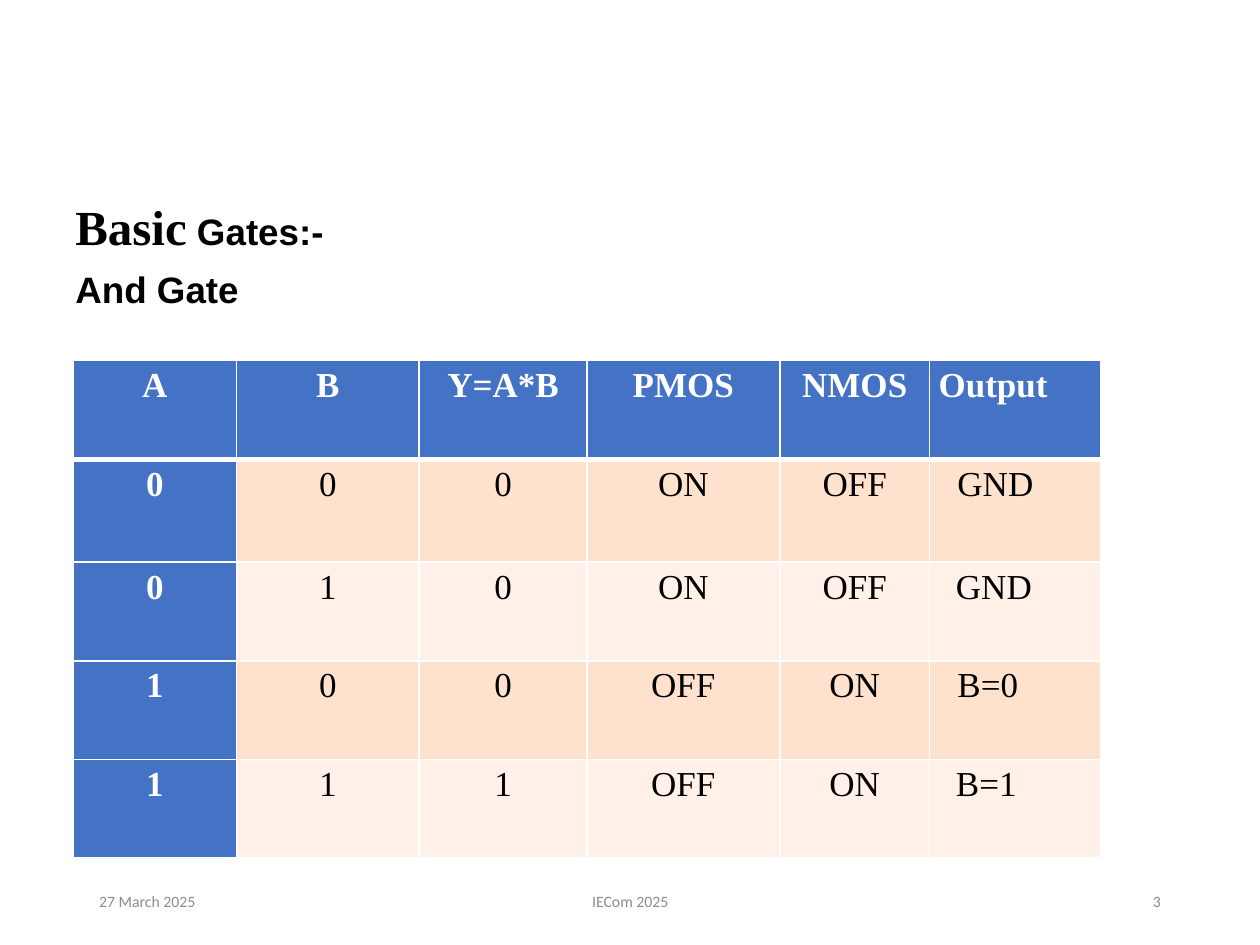
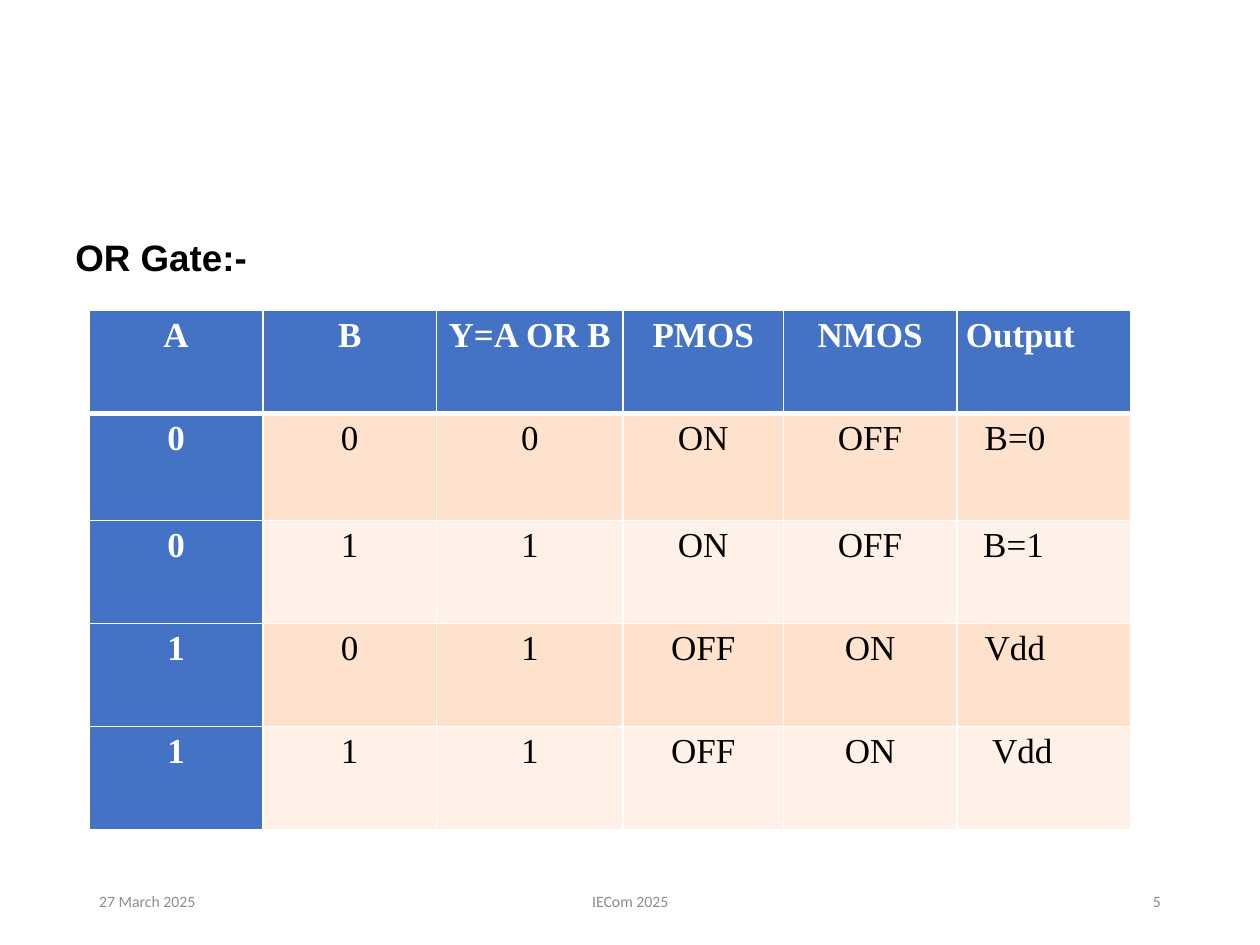
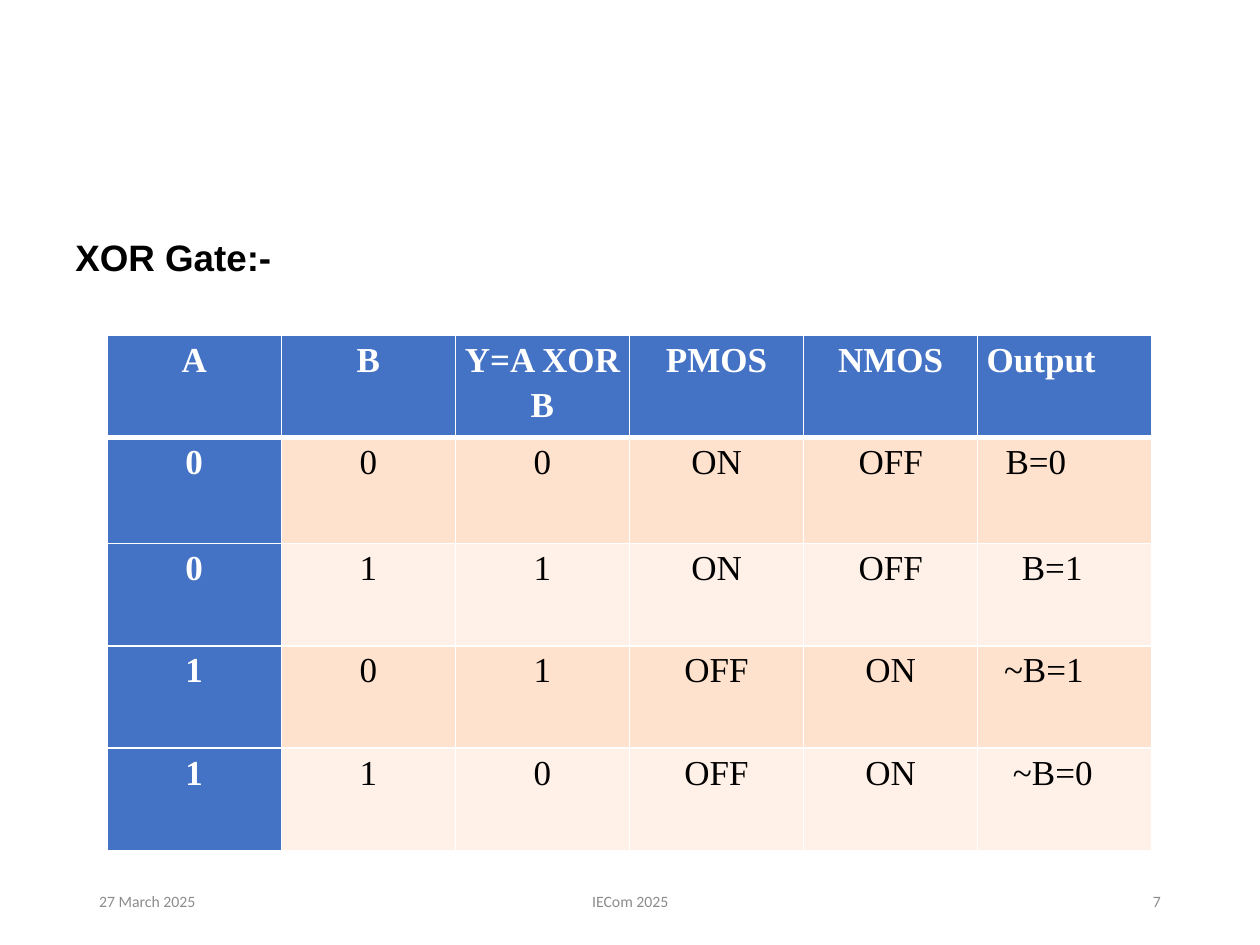
"""Build three slides with the truth tables of the AND, OR and XOR gates."""
from lxml.etree import SubElement
from pptx import Presentation
from pptx.dml.color import RGBColor
from pptx.enum.text import MSO_ANCHOR, PP_ALIGN
from pptx.oxml.ns import qn
from pptx.util import Cm, Pt

BLUE, PEACH, PALE_PEACH = "4472C4", "FFE2CD", "FFF1E8"
WHITE, BLACK, GRAY = "FFFFFF", "000000", "8C8C8C"
SERIF, SANS, FOOTER_FONT = "Times New Roman", "Arial", "Calibri"
THIN, THICK = 1, 3
FIRST_ROW_EXTRA = 0.08

DATE, EVENT = "27 March 2025", "IECom 2025"
INPUTS = [("0", "0"), ("0", "1"), ("1", "0"), ("1", "1")]
TRANSISTORS = [("ON", "OFF"), ("ON", "OFF"), ("OFF", "ON"), ("OFF", "ON")]

GATES = [
    {
        "number": "3",
        "heading": [[("Basic", SERIF, 28), (" Gates:-", SANS, 21)], [("And Gate", SANS, 21)]],
        "heading_top": 3.66,
        "formula": "Y=A*B",
        "results": "0001",
        "outputs": [("GND", 0.38), ("GND", 0.35), ("B=0", 0.38), ("B=1", 0.35)],
        "corner": (1.47, 7.27),
        "widths": [3.3, 3.68, 3.38, 3.89, 3.02, 3.45],
        "row_height": 1.99,
    },
    {
        "number": "5",
        "heading": [[("OR Gate:-", SANS, 21)]],
        "heading_top": 4.47,
        "formula": "Y=A OR B",
        "results": "0111",
        "outputs": [("B=0", 0.38), ("B=1", 0.35), ("Vdd", 0.38), ("Vdd", 0.53)],
        "corner": (1.8, 6.25),
        "widths": [3.5, 3.5, 3.76, 3.23, 3.5, 3.5],
        "row_height": 2.08,
    },
    {
        "number": "7",
        "heading": [[("XOR Gate:-", SANS, 21)]],
        "heading_top": 4.47,
        "formula": "Y=A XOR B",
        "results": "0110",
        "outputs": [("B=0", 0.38), ("B=1", 0.71), ("~B=1", 0.35), ("~B=0", 0.53)],
        "corner": (2.16, 6.76),
        "widths": [3.51] * 6,
        "row_height": 2.06,
    },
]


def color(hex_string):
    return RGBColor.from_string(hex_string)


def style_run(run, font_name, size, hex_string, bold=False):
    run.font.name = font_name
    run.font.size = Pt(size)
    run.font.bold = bold
    run.font.color.rgb = color(hex_string)


def add_text_frame(slide, left, top, width, height):
    text_box = slide.shapes.add_textbox(Cm(left), Cm(top), Cm(width), Cm(height))
    text_box.text_frame.word_wrap = True
    return text_box.text_frame


def add_footers(slide, number):
    footers = [
        (DATE, 1.75, 5.72, PP_ALIGN.LEFT),
        (EVENT, 8.41, 8.59, PP_ALIGN.CENTER),
        (number, 17.93, 5.72, PP_ALIGN.RIGHT),
    ]
    for text, left, width, alignment in footers:
        text_frame = add_text_frame(slide, left, 17.65, width, 1.02)
        text_frame.vertical_anchor = MSO_ANCHOR.MIDDLE
        text_frame.text = text
        paragraph = text_frame.paragraphs[0]
        paragraph.alignment = alignment
        style_run(paragraph.runs[0], FOOTER_FONT, 9, GRAY)


def add_heading(slide, lines, top):
    text_frame = add_text_frame(slide, 1.27, top, 22.86, 13.18)
    for index, line in enumerate(lines):
        paragraph = text_frame.add_paragraph() if index else text_frame.paragraphs[0]
        paragraph.line_spacing = 1.15
        paragraph.space_before = Pt(2.5)
        for text, font_name, size in line:
            run = paragraph.add_run()
            run.text = text
            style_run(run, font_name, size, BLACK, bold=True)


def set_borders(cell, top, bottom):
    properties = cell._tc.get_or_add_tcPr()
    for side, points in (("L", THIN), ("R", THIN), ("T", top), ("B", bottom)):
        line = SubElement(properties, qn(f"a:ln{side}"), w=str(Pt(points)))
        fill = SubElement(line, qn("a:solidFill"))
        SubElement(fill, qn("a:srgbClr"), val=WHITE)


def fill_cell(cell, text, row, column, indent):
    is_header = row == 0
    is_label = is_header or column == 0
    set_borders(cell, THICK if row == 1 else THIN, THICK if is_header else THIN)
    cell.fill.solid()
    cell.fill.fore_color.rgb = color(BLUE if is_label else PEACH if row % 2 else PALE_PEACH)
    cell.margin_left = cell.margin_right = Cm(0.18)
    cell.margin_top = cell.margin_bottom = 0
    cell.text_frame.text = text
    paragraph = cell.text_frame.paragraphs[0]
    paragraph.alignment = PP_ALIGN.LEFT if column == 5 else PP_ALIGN.CENTER
    paragraph.line_spacing = 1.15
    paragraph.space_after = Pt(8)
    if indent:
        paragraph._p.get_or_add_pPr().set("indent", str(Cm(indent)))
    style_run(paragraph.runs[0], SERIF, 20, WHITE if is_label else BLACK, bold=is_label)


def add_truth_table(slide, gate):
    rows = [("A", "B", gate["formula"], "PMOS", "NMOS", "Output")]
    indents = [0]
    for inputs, result, states, (output, indent) in zip(
        INPUTS, gate["results"], TRANSISTORS, gate["outputs"]
    ):
        rows.append((*inputs, result, *states, output))
        indents.append(indent)

    heights = [gate["row_height"]] * len(rows)
    heights[1] += FIRST_ROW_EXTRA
    left, top = gate["corner"]
    widths = gate["widths"]
    table = slide.shapes.add_table(
        len(rows), len(widths), Cm(left), Cm(top), Cm(sum(widths)), Cm(sum(heights))
    ).table
    table.first_col = True
    for column, width in zip(table.columns, widths):
        column.width = Cm(width)
    for row, (texts, height, indent) in enumerate(zip(rows, heights, indents)):
        table.rows[row].height = Cm(height)
        for column, text in enumerate(texts):
            fill_cell(table.cell(row, column), text, row, column, indent if column == 5 else 0)


def main():
    presentation = Presentation()
    presentation.slide_width, presentation.slide_height = Cm(25.4), Cm(19.05)
    for gate in GATES:
        slide = presentation.slides.add_slide(presentation.slide_layouts[6])
        add_footers(slide, gate["number"])
        add_heading(slide, gate["heading"], gate["heading_top"])
        add_truth_table(slide, gate)
    presentation.save("out.pptx")


if __name__ == "__main__":
    main()
